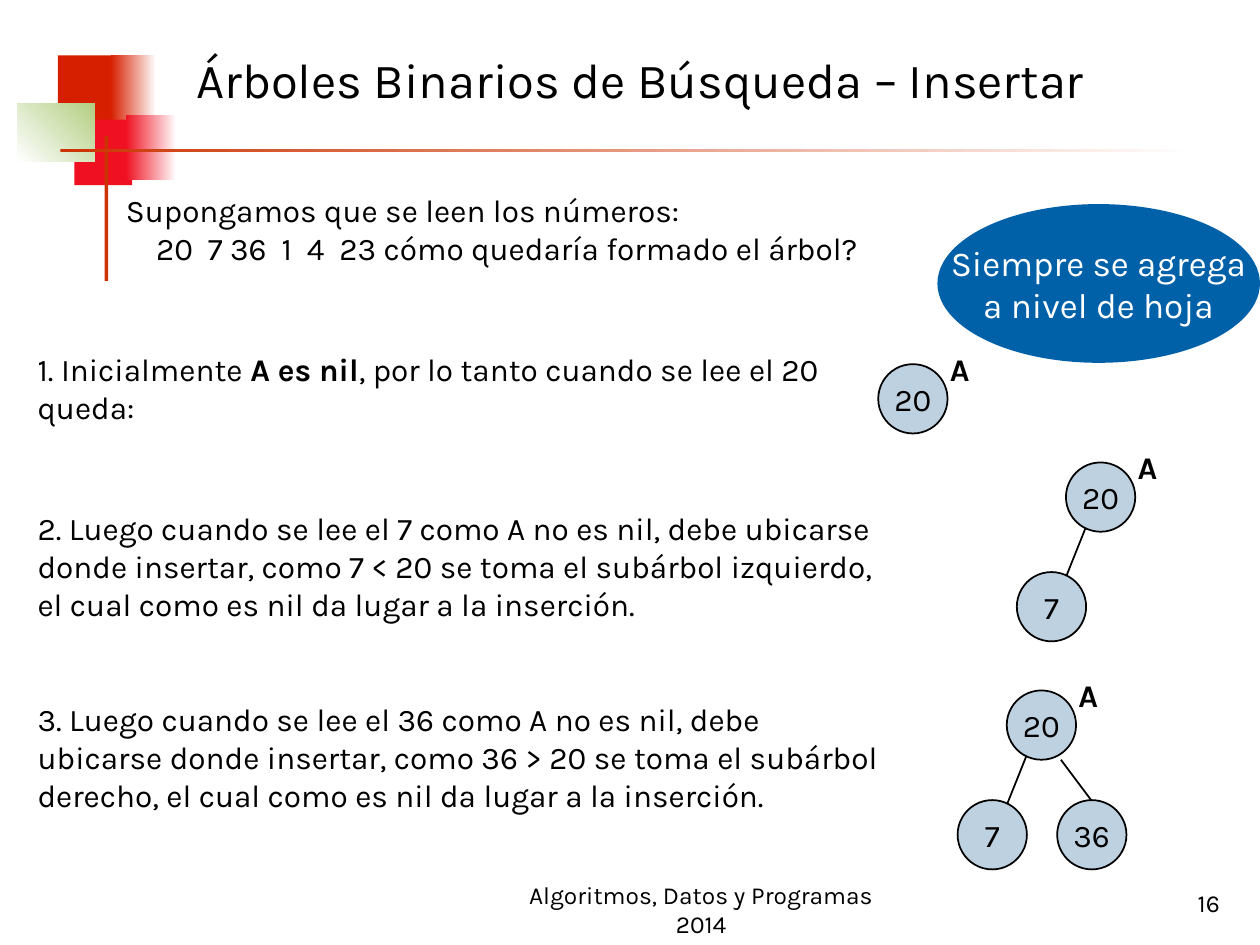
from pptx import Presentation
from pptx.dml.color import RGBColor
from pptx.enum.shapes import MSO_CONNECTOR, MSO_SHAPE
from pptx.enum.text import MSO_ANCHOR, PP_ALIGN
from pptx.oxml.ns import qn
from pptx.util import Inches, Pt
from lxml import etree

RECT, OVAL = MSO_SHAPE.RECTANGLE, MSO_SHAPE.OVAL
STRAIGHT = MSO_CONNECTOR.STRAIGHT
TOP, MIDDLE, BOTTOM = MSO_ANCHOR.TOP, MSO_ANCHOR.MIDDLE, MSO_ANCHOR.BOTTOM
LEFT, CENTER, RIGHT, JUSTIFY = PP_ALIGN.LEFT, PP_ALIGN.CENTER, PP_ALIGN.RIGHT, PP_ALIGN.JUSTIFY

COLORS = {
    "black": "000000", "white": "FFFFFF", "brick": "D61F00", "red": "EF1121",
    "green": "B3CE82", "rule": "CC3300", "node": "BED1E0", "callout": "0060A8",
}
FONT = "Karla"
BODY_SIZE = 18
NODE_SIZE = 0.55


def rgb(name):
    return RGBColor.from_string(COLORS[name])


class SlideBuilder:
    def __init__(self, page):
        self.page = page

    def fill_text(self, frame, lines, size=BODY_SIZE, color="black", align=LEFT, anchor=TOP,
                  bold=False, wrap=True):
        frame.word_wrap = wrap
        frame.vertical_anchor = anchor
        frame.text = "\n".join(lines)
        for para in frame.paragraphs:
            para.alignment = align
            for span in para.runs:
                self.style(span, size, color, bold)

    def style(self, span, size=BODY_SIZE, color="black", bold=False):
        span.font.name = FONT
        span.font.size = Pt(size)
        span.font.bold = bold
        span.font.color.rgb = rgb(color)

    def text(self, at, *lines, shapes=None, **style):
        box = (shapes or self.page.shapes).add_textbox(*map(Inches, at))
        self.fill_text(box.text_frame, lines, **style)
        return box

    def shape(self, kind, at, fill, line=None, shapes=None):
        """Add a preset shape; fill is a colour name or a (start, end, angle) gradient."""
        shape = (shapes or self.page.shapes).add_shape(kind, *map(Inches, at))
        shape.shadow.inherit = False
        if isinstance(fill, tuple):
            start, end, angle = fill
            shape.fill.gradient()
            shape.fill.gradient_angle = angle
            for stop, color in zip(shape.fill.gradient_stops, (start, end)):
                stop.color.rgb = rgb(color)
        else:
            shape.fill.solid()
            shape.fill.fore_color.rgb = rgb(fill)
        if line:
            shape.line.color.rgb = rgb(line)
            shape.line.width = Pt(1)
        else:
            shape.line.fill.background()
        return shape

    def edge(self, shapes, start, end):
        line = shapes.add_connector(STRAIGHT, *map(Inches, start + end))
        line.line.color.rgb = rgb("black")
        line.line.width = Pt(1)
        etree.SubElement(line._element.spPr, qn("a:effectLst"))

    def node(self, shapes, x, y, value):
        circle = self.shape(OVAL, (x, y, NODE_SIZE, NODE_SIZE), "node", "black", shapes)
        self.fill_text(circle.text_frame, [value], align=CENTER, anchor=MIDDLE, wrap=False)

    def tree(self, x, y, root, left=None, right=None):
        """Draw a tree labelled A whose root circle has its corner at x, y."""
        shapes = self.page.shapes.add_group_shape().shapes
        self.node(shapes, x, y, root)
        self.text((x + 0.47, y - 0.16, 0.39, 0.4), "A", shapes=shapes, bold=True)
        if left:
            self.node(shapes, x - 0.39, y + 0.87, left)
            self.edge(shapes, (x + 0.16, y + 0.51), (x, y + 0.91))
        if right:
            self.node(shapes, x + 0.4, y + 0.87, right)
            self.edge(shapes, (x + 0.43, y + 0.55), (x + 0.67, y + 0.87))


def main():
    deck = Presentation()
    deck.slide_width, deck.slide_height = Inches(10), Inches(7.5)
    builder = SlideBuilder(deck.slides.add_slide(deck.slide_layouts[6]))

    decoration = [
        ((0.46, 0.44, 0.48, 0.52), "brick"),
        ((0.88, 0.44, 0.36, 0.52), ("brick", "white", 0)),
        ((0.59, 0.95, 0.46, 0.52), "red"),
        ((1, 0.91, 0.4, 0.52), ("red", "white", 0)),
        ((0.14, 0.82, 0.61, 0.46), ("white", "green", 45)),
        ((0.83, 1.08, 0.03, 1.15), "rule"),
        ((0.48, 1.18, 9, 0.03), ("rule", "white", 0)),
    ]
    for at, fill in decoration:
        builder.shape(RECT, at, fill)

    builder.text((1.46, 0.13, 8.11, 1), "Árboles Binarios de Búsqueda – Insertar",
                 size=28, anchor=MIDDLE)
    question = builder.text((0.9, 1.47, 8.59, 0.7), "Supongamos que se leen los números:",
                            "20  7 36  1  4  23 cómo quedaría formado el árbol?", align=JUSTIFY)
    numbers = question.text_frame.paragraphs[1]
    numbers._p.get_or_add_pPr().set("marL", str(Inches(0.24)))

    first = builder.text((0.2, 2.73, 6.93, 0.7), "1. Inicialmente ")
    para = first.text_frame.paragraphs[0]
    for words, bold in (("A es nil", True), (", por lo tanto cuando se lee el 20 queda:", False)):
        span = para.add_run()
        span.text = words
        builder.style(span, bold=bold)
    builder.text((0.2, 3.99, 6.93, 1.3),
                 "2. Luego cuando se lee el 7 como A no es nil, debe ubicarse donde insertar, "
                 "como 7 < 20 se toma el subárbol izquierdo, el cual como es nil da lugar a "
                 "la inserción.")
    builder.text((0.2, 5.51, 6.93, 1.3),
                 "3. Luego cuando se lee el 36 como A no es nil, debe ubicarse donde insertar, "
                 "como 36 > 20 se toma el subárbol derecho, el cual como es nil da lugar a "
                 "la inserción.")

    builder.tree(6.97, 2.89, "20")
    builder.tree(8.46, 3.67, "20", "7")
    builder.tree(7.99, 5.48, "20", "7", "36")

    callout = builder.shape(OVAL, (7.44, 1.62, 2.56, 1.26), "callout")
    builder.fill_text(callout.text_frame, ["Siempre se agrega", "a nivel de hoja"], size=20,
                      color="white", align=CENTER, anchor=MIDDLE, wrap=False)

    builder.text((3.98, 7, 3.17, 0.5), "Algoritmos, Datos y Programas 2014",
                 size=14, align=CENTER, anchor=BOTTOM)
    builder.text((7.7, 6.83, 2.08, 0.5), "16", size=14, align=RIGHT, anchor=BOTTOM)

    deck.save("out.pptx")


if __name__ == "__main__":
    main()
